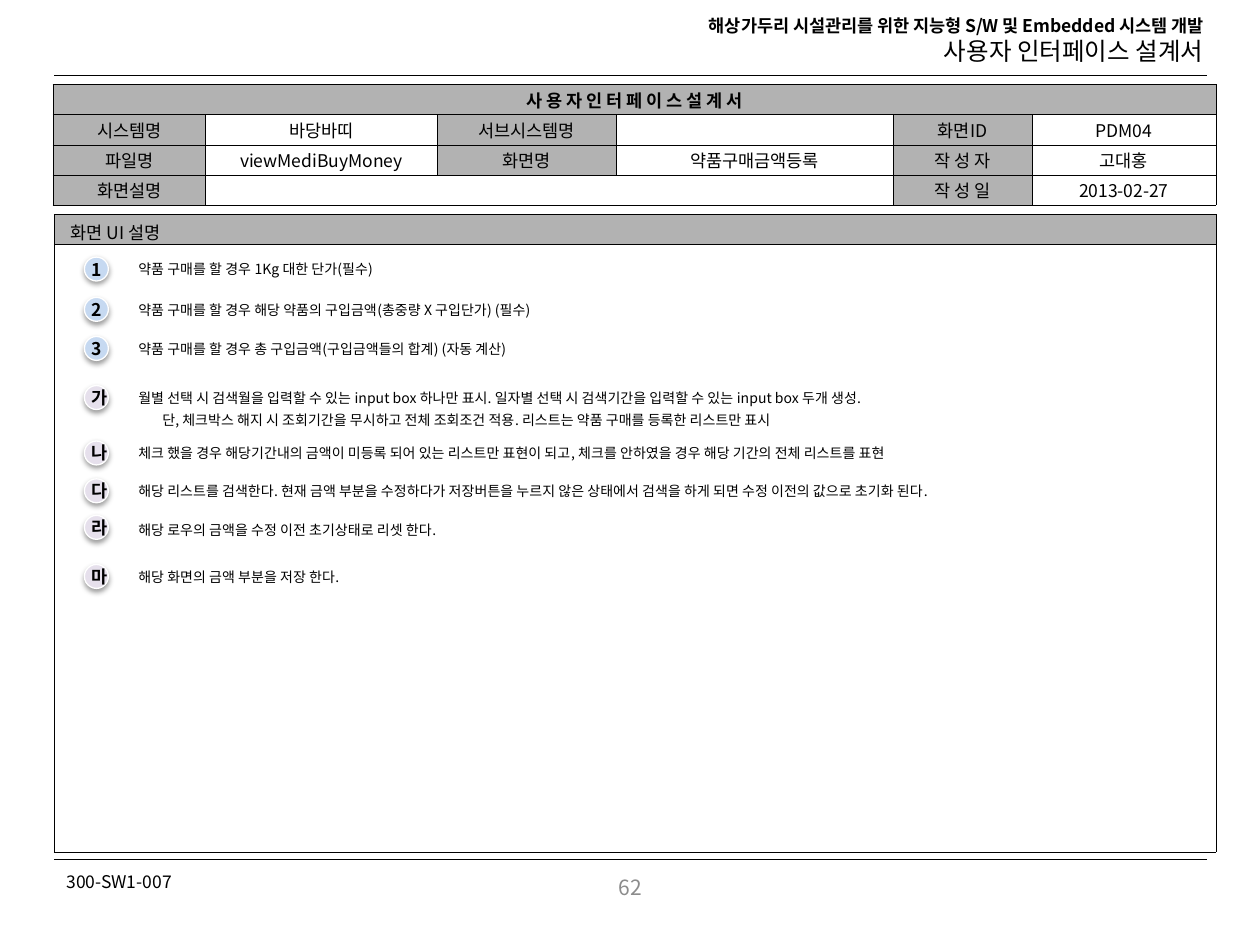
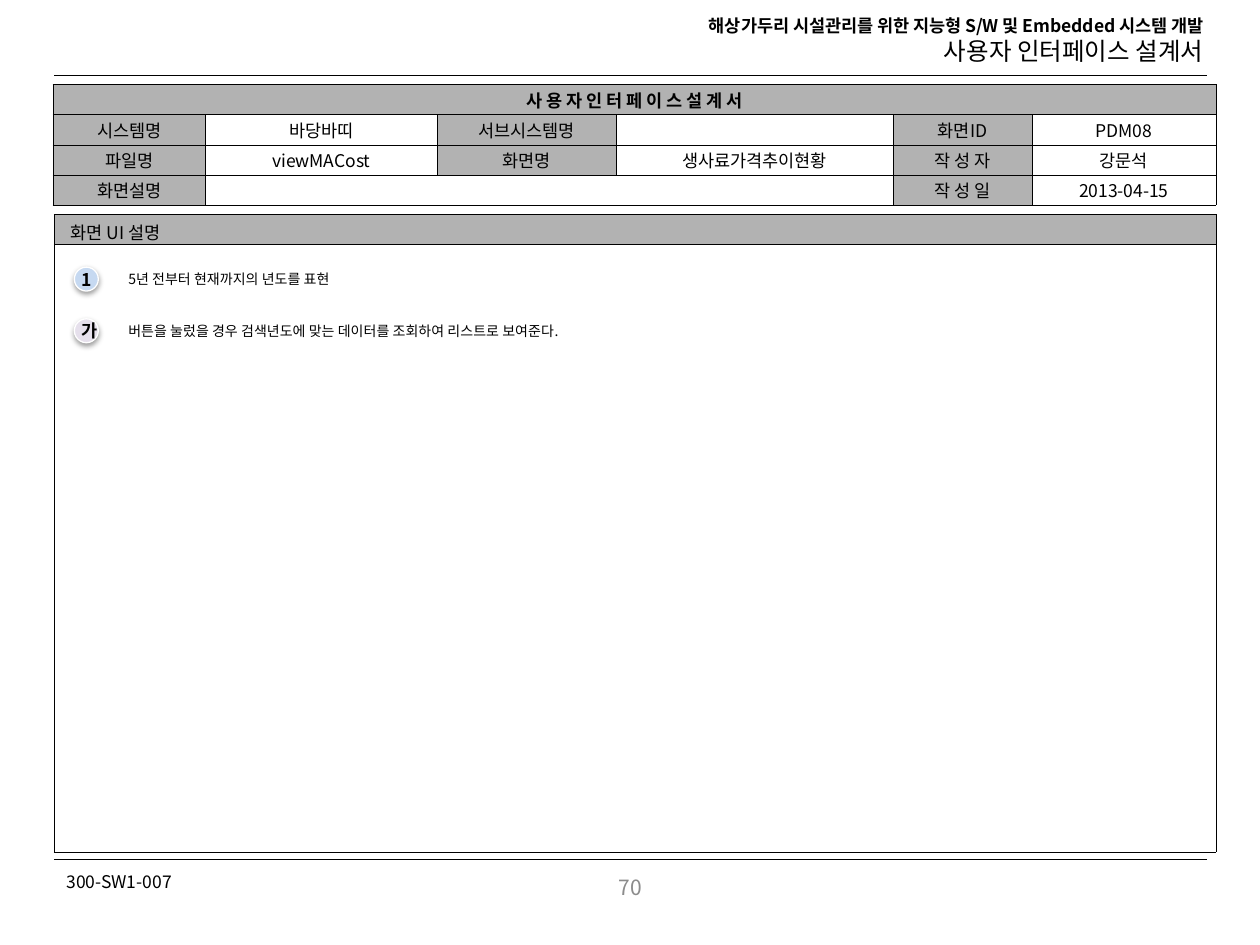
from dataclasses import dataclass

from lxml import etree
from pptx import Presentation
from pptx import util as u
from pptx.dml.color import RGBColor
from pptx.enum import shapes, text
from pptx.oxml.ns import qn

FONT = "Noto Sans CJK KR"
BLACK, WHITE = "000000", "FFFFFF"
LABEL_GRAY, NUMBER_GRAY = "B2B2B2", "8C8C8C"
FIELD_BLUE, ACTION_LILAC = "C6D9F1", "E6E0EC"
HAIRLINE = u.Pt(0.25)
LEFT, RIGHT = 0.43, 9.58
ROW_HEIGHT = 0.24
INFO_COLUMNS = (1.21, 1.84, 1.42, 2.2, 1.1, 1.46)
BADGE_SIZE = 0.19
NOTE_OFFSET = 0.33


@dataclass
class Note:
    top: float
    badge: str
    lines: tuple[str, ...]
    rise: float = 0.02


@dataclass
class Screen:
    number: int
    screen_id: str
    file_name: str
    screen_name: str
    author: str
    date: str
    badge_left: float
    notes: tuple[Note, ...]


SCREENS = (
    Screen(62, "PDM04", "viewMediBuyMoney", "약품구매금액등록", "고대홍", "2013-02-27", 0.67, (
        Note(2.04, "1", ("약품 구매를 할 경우 1Kg 대한 단가(필수)",)),
        Note(2.36, "2", ("약품 구매를 할 경우 해당 약품의 구입금액(총중량 X 구입단가) (필수)",)),
        Note(2.67, "3", ("약품 구매를 할 경우 총 구입금액(구입금액들의 합계) (자동 계산)",)),
        Note(3.06, "가", (
            "월별 선택 시 검색월을 입력할 수 있는 input box 하나만 표시. "
            "일자별 선택 시 검색기간을 입력할 수 있는 input box 두개 생성.",
            "단, 체크박스 해지 시 조회기간을 무시하고 전체 조회조건 적용. "
            "리스트는 약품 구매를 등록한 리스트만 표시")),
        Note(3.5, "나", (
            "체크 했을 경우 해당기간내의 금액이 미등록 되어 있는 리스트만 표현이 되고, "
            "체크를 안하였을 경우 해당 기간의 전체 리스트를 표현",)),
        Note(3.8, "다", (
            "해당 리스트를 검색한다. 현재 금액 부분을 수정하다가 저장버튼을 누르지 않은 "
            "상태에서 검색을 하게 되면 수정 이전의 값으로 초기화 된다.",)),
        Note(4.09, "라", ("해당 로우의 금액을 수정 이전 초기상태로 리셋 한다.",), rise=0),
        Note(4.48, "마", ("해당 화면의 금액 부분을 저장 한다.",)),
    )),
    Screen(70, "PDM08", "viewMACost", "생사료가격추이현황", "강문석", "2013-04-15", 0.59, (
        Note(2.12, "1", ("5년 전부터 현재까지의 년도를 표현",)),
        Note(2.53, "가", ("버튼을 눌렀을 경우 검색년도에 맞는 데이터를 조회하여 리스트로 보여준다.",)),
    )),
)


def rgb(color: str) -> RGBColor:
    return RGBColor.from_string(color)


def write(para, words: str, size: float, color: str = BLACK, bold: bool = False,
          align=text.PP_ALIGN.LEFT) -> None:
    para.text = words
    para.alignment = align
    font = para.font
    font.size, font.bold, font.name = u.Pt(size), bold, FONT
    font.color.rgb = rgb(color)
    etree.SubElement(font._element, qn("a:ea"), typeface=FONT)


def add_text_box(parent, left: float, top: float, width: float, height: float):
    box = parent.shapes.add_textbox(u.Inches(left), u.Inches(top),
                                    u.Inches(width), u.Inches(height))
    box.text_frame.word_wrap = True
    return box.text_frame


def add_rule(page, top: float) -> None:
    rule = page.shapes.add_connector(shapes.MSO_CONNECTOR.STRAIGHT, u.Inches(LEFT),
                                     u.Inches(top), u.Inches(RIGHT), u.Inches(top))
    rule.line.color.rgb = rgb(BLACK)
    rule.line.width = HAIRLINE
    etree.SubElement(rule._element.spPr, qn("a:effectLst"))


def add_frame(page, number: int) -> None:
    """Draw the header, rules and footer shared by all pages."""
    header = add_text_box(page, 4.77, 0.07, 4.88, 0.51)
    write(header.paragraphs[0], "해상가두리 시설관리를 위한 지능형 S/W 및 Embedded 시스템 개발",
          10, bold=True, align=text.PP_ALIGN.RIGHT)
    write(header.add_paragraph(), "사용자 인터페이스 설계서", 14, align=text.PP_ALIGN.RIGHT)
    add_rule(page, 0.6)
    add_rule(page, 6.82)
    code = add_text_box(page, LEFT, 6.86, 1.16, 0.27)
    write(code.paragraphs[0], "300-SW1-007", 10)
    footer = add_text_box(page, LEFT, 6.84, RIGHT - LEFT, 0.4)
    footer.vertical_anchor = text.MSO_ANCHOR.MIDDLE
    write(footer.paragraphs[0], str(number), 12, NUMBER_GRAY, align=text.PP_ALIGN.CENTER)


def add_grid(page, left: float, top: float, widths: tuple[float, ...],
             heights: tuple[float, ...]):
    """Add a table with hairline borders and unfilled cells."""
    grid = page.shapes.add_table(len(heights), len(widths), u.Inches(left), u.Inches(top),
                                 u.Inches(sum(widths)), u.Inches(sum(heights))).table
    grid.first_row = grid.horz_banding = False
    for column, width in zip(grid.columns, widths):
        column.width = u.Inches(width)
    for row, height in zip(grid.rows, heights):
        row.height = u.Inches(height)
    for cell in grid.iter_cells():
        cell.margin_left = cell.margin_right = u.Inches(0.13)
        cell.margin_top = cell.margin_bottom = u.Inches(0.02)
        properties = cell._tc.get_or_add_tcPr()
        for side in ("lnL", "lnR", "lnT", "lnB"):
            border = etree.SubElement(properties, qn(f"a:{side}"), w=str(HAIRLINE))
            fill = etree.SubElement(border, qn("a:solidFill"))
            etree.SubElement(fill, qn("a:srgbClr"), val=BLACK)
        cell.fill.background()
    return grid


def shade(cell, color: str) -> None:
    cell.fill.solid()
    cell.fill.fore_color.rgb = rgb(color)


def add_info_table(page, screen: Screen) -> None:
    rows = (
        ("사 용 자 인 터 페 이 스 설 계 서", "", "", "", "", ""),
        ("시스템명", "바당바띠", "서브시스템명", "", "화면ID", screen.screen_id),
        ("파일명", screen.file_name, "화면명", screen.screen_name, "작 성 자", screen.author),
        ("화면설명", "", "", "", "작 성 일", screen.date),
    )
    grid = add_grid(page, 0.42, 0.67, INFO_COLUMNS, (ROW_HEIGHT,) * len(rows))
    for r, row in enumerate(rows):
        for c, words in enumerate(row):
            cell = grid.cell(r, c)
            cell.vertical_anchor = text.MSO_ANCHOR.MIDDLE
            para = cell.text_frame.paragraphs[0]
            write(para, words, 10, bold=r == 0, align=text.PP_ALIGN.CENTER)
            if not words:
                para._p.get_or_add_endParaRPr().set("sz", "1000")
            elif c % 2 == 0:
                shade(cell, LABEL_GRAY)
    grid.cell(0, 0).merge(grid.cell(0, 5))
    grid.cell(3, 1).merge(grid.cell(3, 3))


def add_description_panel(page) -> None:
    grid = add_grid(page, LEFT, 1.7, (9.22,), (ROW_HEIGHT, 4.82))
    title, body = grid.cell(0, 0), grid.cell(1, 0)
    title.margin_top, title.margin_bottom = u.Inches(0.04), 0
    write(title.text_frame.paragraphs[0], "화면 UI 설명", 10)
    shade(title, LABEL_GRAY)
    shade(body, WHITE)


def add_soft_shadow(shape) -> None:
    shape.shadow.inherit = False
    effects = shape._element.spPr.find(qn("a:effectLst"))
    shadow = etree.SubElement(effects, qn("a:outerShdw"), blurRad=str(u.Pt(3.1)),
                              dist=str(u.Pt(1.6)), dir="5400000", rotWithShape="0")
    color = etree.SubElement(shadow, qn("a:srgbClr"), val=BLACK)
    etree.SubElement(color, qn("a:alpha"), val="38000")


def add_note(page, left: float, note: Note) -> None:
    """Group a round badge with its explanation; digits mark fields, letters mark actions."""
    group = page.shapes.add_group_shape()
    is_field = note.badge.isdigit()
    badge = group.shapes.add_shape(shapes.MSO_SHAPE.OVAL, u.Inches(left), u.Inches(note.top),
                                   u.Inches(BADGE_SIZE), u.Inches(BADGE_SIZE))
    badge.fill.solid()
    badge.fill.fore_color.rgb = rgb(FIELD_BLUE if is_field else ACTION_LILAC)
    badge.line.color.rgb = rgb(WHITE)
    badge.line.width = u.Pt(0.75)
    add_soft_shadow(badge)
    frame = badge.text_frame
    frame.word_wrap = False
    frame.vertical_anchor = text.MSO_ANCHOR.MIDDLE
    frame.margin_left = u.Inches(0 if is_field else 0.05)
    frame.margin_right = frame.margin_top = frame.margin_bottom = 0
    write(frame.paragraphs[0], note.badge, 10, bold=True, align=text.PP_ALIGN.CENTER)

    frame = add_text_box(group, left + NOTE_OFFSET, note.top - note.rise, 7.5,
                         0.06 + 0.18 * len(note.lines))
    first, *others = note.lines
    write(frame.paragraphs[0], first, 8)
    for line in others:
        para = frame.add_paragraph()
        para._p.get_or_add_pPr().set("marL", str(u.Inches(0.19)))
        para.space_before = u.Pt(3.2)
        write(para, line, 8)


def main() -> None:
    deck = Presentation()
    deck.slide_width, deck.slide_height = u.Inches(10), u.Inches(7.5)
    for screen in SCREENS:
        page = deck.slides.add_slide(deck.slide_layouts[6])
        add_frame(page, screen.number)
        add_info_table(page, screen)
        add_description_panel(page)
        for note in screen.notes:
            add_note(page, screen.badge_left, note)
    deck.save("out.pptx")


if __name__ == "__main__":
    main()
